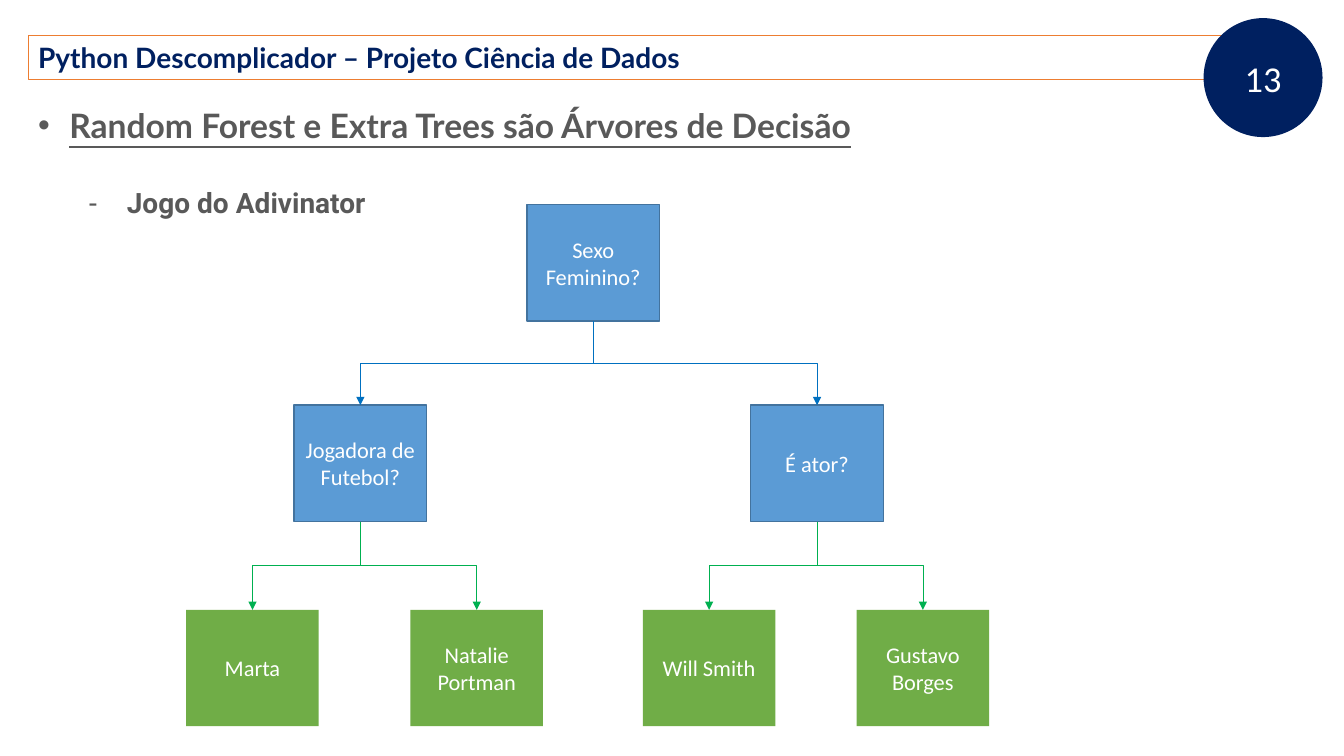
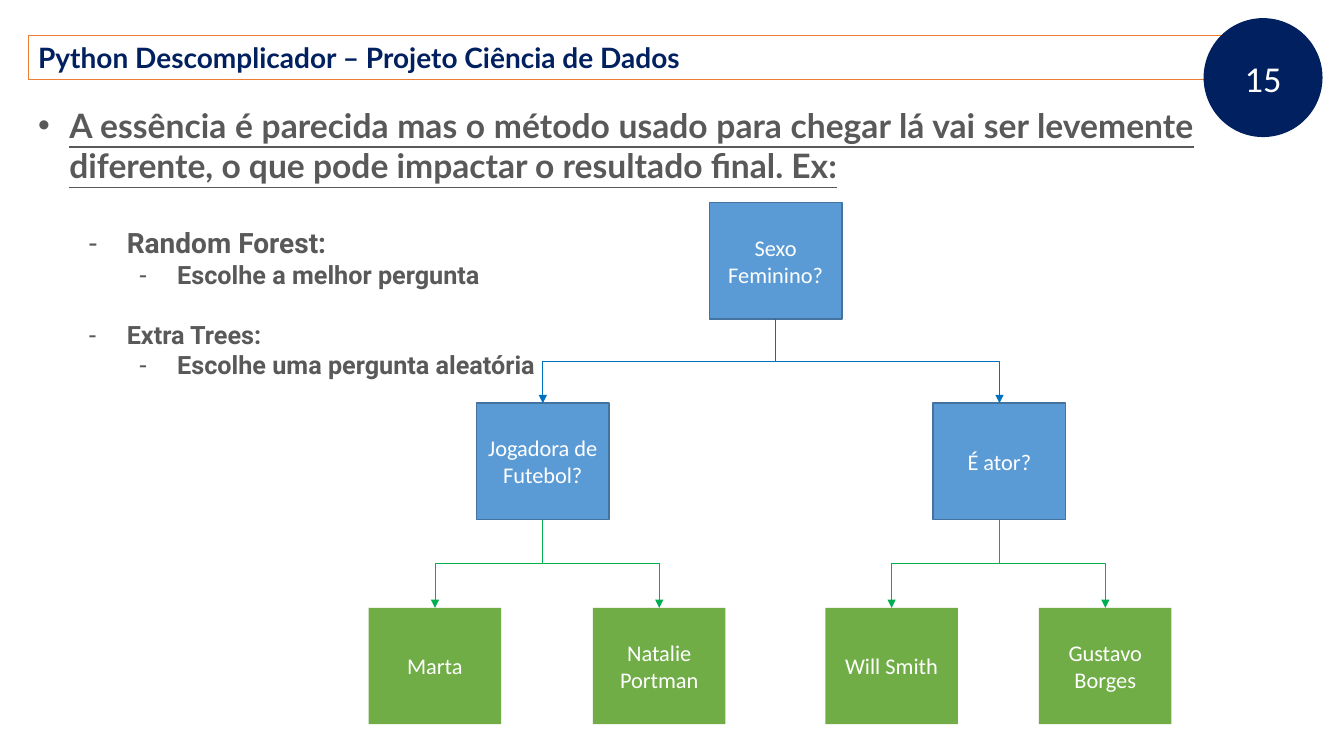
from collections import namedtuple

from lxml import etree
from pptx import Presentation
from pptx.dml.color import RGBColor
from pptx.enum.shapes import MSO_CONNECTOR as Connector, MSO_SHAPE as Preset
from pptx.enum.text import MSO_ANCHOR as Anchor, PP_ALIGN as Align
from pptx.oxml.ns import qn
from pptx.util import Inches, Pt

COLORS = {
    "navy": "002060",
    "orange": "ED7D31",
    "white": "FFFFFF",
    "gray": "595959",
    "question": "5B9BD5",
    "question_edge": "43739E",
    "answer": "70AD47",
    "question_arrow": "0070C0",
    "answer_arrow": "00B050",
}

# Grid: ten columns or rows to the inch
COLUMNS, ROWS = 133.33, 75
Box = namedtuple("Box", "left top width height")
TITLE_BOX = Box(2.8, 3.5, 124.6, 4.4)
BADGE_BOX = Box(119.4, 1.8, 11.8, 11.8)

TITLE = "Python Descomplicador – Projeto Ciência de Dados"

# Outline levels: font, bullet, left margin and hanging indent in columns
Level = namedtuple("Level", "font bullet margin hang underline")
LEVELS = [
    Level("Lato", "•", 3.1, 3.1, True),
    Level("Roboto", "-", 8.8, 3.8, False),
    Level("Roboto", "-", 13.8, 3.8, False),
]

# Decision tree: nodes by column centre and depth, inside the tree's box
Node = namedtuple("Node", "text center children", defaults=[()])
TREE = Node("Sexo Feminino?", 40.35, (
    Node("Jogadora de Futebol?", 17.25, (
        Node("Marta", 6.55), Node("Natalie Portman", 28.8))),
    Node("É ator?", 62.55, (
        Node("Will Smith", 51.85), Node("Gustavo Borges", 73.05))),
))
NODE_WIDTH, NODE_HEIGHT = 13.15, 11.55
LEVEL_TOPS = [0, 19.9, 40.2]

# Slides: outline lines are (level, size, space before in points, text)
SLIDES = [
    {
        "number": "13",
        "outline_box": Box(2.8, 9.9, 116.6, 12.5),
        "outline": [
            (0, 24, 0, "Random Forest e Extra Trees são Árvores de Decisão"),
            (1, 20, 29, "Jogo do Adivinator"),
        ],
        "tree_box": Box(18.5, 20.3, 79.6, 51.7),
    },
    {
        "number": "15",
        "outline_box": Box(2.8, 9.9, 116.6, 28.6),
        "outline": [
            (0, 24, 0, "A essência é parecida mas o método usado para chegar lá vai "
                       "ser levemente diferente, o que pode impactar o resultado "
                       "final. Ex:"),
            (1, 20, 29, "Random Forest:"),
            (2, 18, 0, "Escolhe a melhor pergunta"),
            (1, 18, 21, "Extra Trees:"),
            (2, 18, 0, "Escolhe uma pergunta aleatória"),
        ],
        "tree_box": Box(36.6, 20.1, 79.6, 51.7),
    },
]


def grid(cells):
    return Inches(cells / 10)


def color(name):
    return RGBColor.from_string(COLORS[name])


def style_font(paragraph, name, size, color_name, bold=False):
    font = paragraph.font
    font.name, font.size, font.bold = name, Pt(size), bold
    font.color.rgb = color(color_name)


def add_box(slide, preset, box, fill=None, line=None, line_width=1.0):
    shape = slide.shapes.add_shape(preset, *map(grid, box))
    shape.shadow.inherit = False
    if fill:
        shape.fill.solid()
        shape.fill.fore_color.rgb = color(fill)
    else:
        shape.fill.background()
    if line:
        shape.line.color.rgb = color(line)
        shape.line.width = Pt(line_width)
    else:
        shape.line.fill.background()
    shape.text_frame.word_wrap = True
    return shape


def write_label(shape, text, font, size, color_name, bold=False, align=Align.CENTER,
                anchor=Anchor.MIDDLE):
    shape.text_frame.vertical_anchor = anchor
    paragraph = shape.text_frame.paragraphs[0]
    paragraph.text, paragraph.alignment = text, align
    style_font(paragraph, font, size, color_name, bold)


def add_header(slide, number):
    band = add_box(slide, Preset.RECTANGLE, TITLE_BOX, line="orange", line_width=0.5)
    write_label(band, TITLE, "Lato", 20, "navy", True, Align.LEFT, Anchor.TOP)
    badge = add_box(slide, Preset.OVAL, BADGE_BOX, fill="navy")
    write_label(badge, number, "Calibri", 26, "white")


def add_outline(slide, box, lines):
    frame = add_box(slide, Preset.RECTANGLE, box, fill="white").text_frame
    frame.vertical_anchor = Anchor.TOP
    for index, (depth, size, space, text) in enumerate(lines):
        paragraph = frame.add_paragraph() if index else frame.paragraphs[0]
        level = LEVELS[depth]
        paragraph.text, paragraph.level = text, depth
        paragraph.alignment = Align.JUSTIFY
        paragraph.space_before = Pt(space)
        style_font(paragraph, level.font, size, "gray", True)
        paragraph.font.underline = level.underline
        # Hanging bullet
        properties = paragraph._p.get_or_add_pPr()
        properties.set("marL", str(grid(level.margin)))
        properties.set("indent", str(-grid(level.hang)))
        bullet_font = etree.Element(qn("a:buFont"), typeface="Arial")
        bullet = etree.Element(qn("a:buChar"), char=level.bullet)
        default_run = properties.find(qn("a:defRPr"))
        default_run.addprevious(bullet_font)
        default_run.addprevious(bullet)


def add_elbow_arrow(slide, parent, child, color_name):
    """Run down from the parent's foot, across, and down to the child's head."""
    start_x, start_y = parent.left + parent.width // 2, parent.top + parent.height
    end_x, end_y = child.left + child.width // 2, child.top
    arrow = slide.shapes.add_connector(Connector.ELBOW, start_x, start_y, end_x, end_y)
    arrow.begin_connect(parent, 2)
    arrow.end_connect(child, 0)
    # The elbow leaves sideways by default, so it is turned a quarter
    drop, reach = end_y - start_y, abs(end_x - start_x)
    arrow.width, arrow.height = drop, reach
    arrow.left = (start_x + end_x - drop) // 2
    arrow.top = (start_y + end_y - reach) // 2
    properties = arrow._element.spPr
    frame = properties.find(qn("a:xfrm"))
    goes_right = end_x > start_x
    frame.set("rot", str((270 if goes_right else 90) * 60000))
    frame.set("flipH", "1" if goes_right else "0")
    arrow.line.color.rgb = color(color_name)
    arrow.line.width = Pt(0.5)
    etree.SubElement(arrow.line._get_or_add_ln(), qn("a:tailEnd"), type="triangle")
    etree.SubElement(properties, qn("a:effectLst"))


def add_tree(slide, box, node, depth=0):
    """Draw a node, its branches and their arrows; return the node's shape."""
    kind = "question" if node.children else "answer"
    place = Box(box.left + node.center - NODE_WIDTH / 2, box.top + LEVEL_TOPS[depth],
                NODE_WIDTH, NODE_HEIGHT)
    edge = "question_edge" if node.children else None
    shape = add_box(slide, Preset.RECTANGLE, place, fill=kind, line=edge)
    write_label(shape, node.text, "Calibri", 16, "white")
    for child in node.children:
        child_shape = add_tree(slide, box, child, depth + 1)
        arrow_color = "question_arrow" if child.children else "answer_arrow"
        add_elbow_arrow(slide, shape, child_shape, arrow_color)
    return shape


def add_tree_slide(presentation, content):
    slide = presentation.slides.add_slide(presentation.slide_layouts[6])
    add_header(slide, content["number"])
    add_outline(slide, content["outline_box"], content["outline"])
    add_tree(slide, content["tree_box"], TREE)


def main():
    presentation = Presentation()
    presentation.slide_width, presentation.slide_height = grid(COLUMNS), grid(ROWS)
    for content in SLIDES:
        add_tree_slide(presentation, content)
    presentation.save("out.pptx")


if __name__ == "__main__":
    main()
